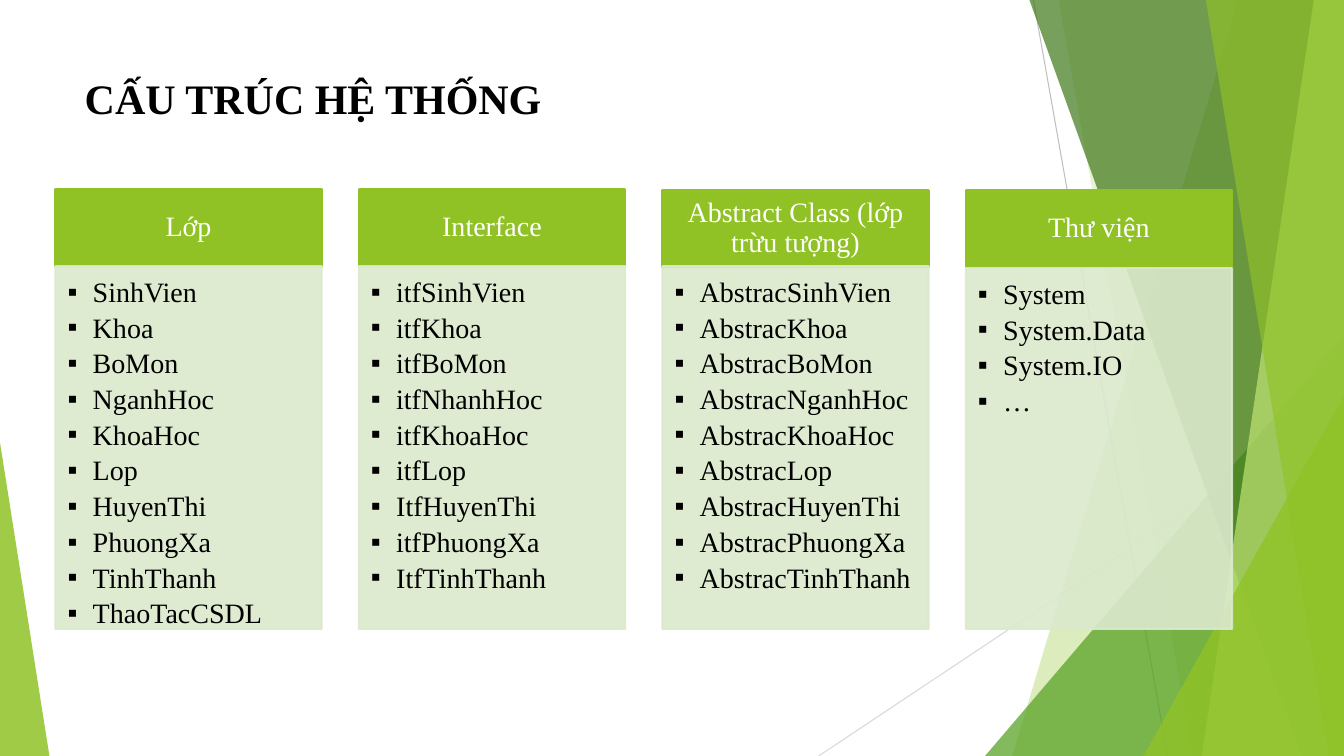
from lxml import etree
from pptx import Presentation, util as u
from pptx.dml.color import RGBColor
from pptx.enum import shapes, text
from pptx.oxml import ns

COLORS = {
    "black": "000000",
    "white": "FFFFFF",
    "lime": "90C226",
    "pale_lime": "C0E474",
    "green": "54A021",
    "dark_green": "3F7819",
    "panel": "DBE9CD",
    "gray": "BFBFBF",
    "light_gray": "D9D9D9",
}
WIDTH, HEIGHT = 1333, 750

BANDS = [
    ([(1228, 0), (WIDTH, 0), (WIDTH, HEIGHT), (1004, HEIGHT)], "lime", 30),
    ([(1050, 0), (WIDTH, 0), (WIDTH, HEIGHT), (1183, HEIGHT)], "lime", 20),
    ((977, 333, 356, 417), "green", 72),
    ([(1021, 0), (WIDTH, 0), (WIDTH, HEIGHT), (1291, HEIGHT)], "dark_green", 70),
    ([(1303, 0), (WIDTH, 0), (WIDTH, HEIGHT), (1192, HEIGHT)], "pale_lime", 70),
    ([(1196, 0), (WIDTH, 0), (WIDTH, HEIGHT), (1318, HEIGHT)], "lime", 65),
    ((1134, 393, 199, 357), "lime", 80),
    ((0, 439, 49, 311), "lime", 85),
]

COLUMNS = [
    ("Lớp", 188, 264, [
        "SinhVien", "Khoa", "BoMon", "NganhHoc", "KhoaHoc", "Lop",
        "HuyenThi", "PhuongXa", "TinhThanh", "ThaoTacCSDL"]),
    ("Interface", 188, 264, [
        "itfSinhVien", "itfKhoa", "itfBoMon", "itfNhanhHoc", "itfKhoaHoc",
        "itfLop", "ItfHuyenThi", "itfPhuongXa", "ItfTinhThanh"]),
    ("Abstract Class (lớp trừu tượng)", 189, 264, [
        "AbstracSinhVien", "AbstracKhoa", "AbstracBoMon", "AbstracNganhHoc",
        "AbstracKhoaHoc", "AbstracLop", "AbstracHuyenThi",
        "AbstracPhuongXa", "AbstracTinhThanh"]),
    ("Thư viện", 189, 266, ["System", "System.Data", "System.IO", "…"]),
]
COLUMN_LEFT, COLUMN_PITCH, COLUMN_WIDTH = 55, 301, 264
HEADER_HEIGHT, BODY_BOTTOM = 76, 624


class SlideBuilder:
    font_name = "Times New Roman"
    scale = 9144

    def __init__(self, presentation):
        presentation.slide_width = self.px(WIDTH)
        presentation.slide_height = self.px(HEIGHT)
        self.slide = presentation.slides.add_slide(presentation.slide_layouts[5])

    def px(self, length):
        return u.Emu(length * self.scale)

    def paint(self, color_format, color, opacity=100):
        color_format.rgb = RGBColor.from_string(COLORS[color])
        if opacity < 100:
            value = color_format._xFill.find(ns.qn("a:srgbClr"))
            etree.SubElement(value, ns.qn("a:alpha"), val=str(opacity * 1000))

    def fill(self, shape, color, opacity):
        shape.shadow.inherit = False
        shape.fill.solid()
        self.paint(shape.fill.fore_color, color, opacity)

    def style(self, paragraph, size, color, bold=False):
        paragraph.font.name = self.font_name
        paragraph.font.size = u.Pt(size)
        paragraph.font.bold = bold
        self.paint(paragraph.font.color, color)

    def title(self, wording, left, top, width, height):
        shape = self.slide.shapes.title
        shape.left, shape.top = self.px(left), self.px(top)
        shape.width, shape.height = self.px(width), self.px(height)
        shape.text_frame.text = wording
        shape.text_frame.vertical_anchor = text.MSO_ANCHOR.TOP
        paragraph = shape.text_frame.paragraphs[0]
        paragraph.alignment = text.PP_ALIGN.LEFT
        self.style(paragraph, 30, "black", bold=True)

    def line(self, start, end, color):
        connector = self.slide.shapes.add_connector(
            shapes.MSO_CONNECTOR.STRAIGHT, *map(self.px, (*start, *end)))
        connector.line.width = u.Pt(0.75)
        self.paint(connector.line.color, color)
        etree.SubElement(connector._element.spPr, ns.qn("a:effectLst"))

    def polygon(self, points, color, opacity):
        builder = self.slide.shapes.build_freeform(*points[0], scale=self.scale)
        builder.add_line_segments(points[1:], close=True)
        shape = builder.convert_to_shape()
        self.fill(shape, color, opacity)
        shape.line.fill.background()

    def triangle(self, box, apex, color, opacity):
        shape = self.slide.shapes.add_shape(
            shapes.MSO_SHAPE.ISOSCELES_TRIANGLE, *map(self.px, box))
        shape.adjustments[0] = apex
        self.fill(shape, color, opacity)
        shape.line.fill.background()

    def panel(self, box, color, opacity, margins, anchor):
        shape = self.slide.shapes.add_shape(
            shapes.MSO_SHAPE.RECTANGLE, *map(self.px, box))
        self.fill(shape, color, opacity)
        shape.line.width = u.Pt(1.5)
        shape.line.fill.solid()
        self.paint(shape.line.fill.fore_color, color, opacity)
        frame = shape.text_frame
        frame.word_wrap = True
        frame.vertical_anchor = anchor
        (frame.margin_left, frame.margin_top,
         frame.margin_right, frame.margin_bottom) = map(self.px, margins)
        return frame

    def header(self, wording, box):
        frame = self.panel(box, "lime", 100, (16, 9, 16, 9), text.MSO_ANCHOR.MIDDLE)
        frame.text = wording
        paragraph = frame.paragraphs[0]
        paragraph.alignment = text.PP_ALIGN.CENTER
        paragraph.line_spacing = 0.9
        self.style(paragraph, 20, "white")

    def bullet_list(self, items, box):
        frame = self.panel(box, "panel", 90, (12, 12, 16, 17), text.MSO_ANCHOR.TOP)
        frame.text = "\n".join(items)
        for paragraph in frame.paragraphs:
            paragraph.alignment = text.PP_ALIGN.LEFT
            paragraph.line_spacing = 0.9
            paragraph.space_after = u.Pt(3.9)
            properties = paragraph._p.get_or_add_pPr()
            properties.set("marL", str(self.px(25)))
            properties.set("indent", str(self.px(-25)))
            etree.SubElement(properties, ns.qn("a:buFont"), typeface=self.font_name)
            etree.SubElement(properties, ns.qn("a:buChar"), char="▪")
            self.style(paragraph, 20, "black")


def main():
    presentation = Presentation()
    builder = SlideBuilder(presentation)
    builder.line((1025, 0), (1158, HEIGHT), "gray")
    builder.line((WIDTH, 403), (812, HEIGHT), "light_gray")
    for outline, color, opacity in BANDS:
        if isinstance(outline, list):
            builder.polygon(outline, color, opacity)
        else:
            builder.triangle(outline, 1 if outline[0] else 0, color, opacity)
    builder.title("CẤU TRÚC HỆ THỐNG", 74, 67, 1097, 123)
    for index, (heading, header_top, body_top, items) in enumerate(COLUMNS):
        left = COLUMN_LEFT + index * COLUMN_PITCH
        builder.header(heading, (left, header_top, COLUMN_WIDTH, HEADER_HEIGHT))
        builder.bullet_list(
            items, (left, body_top, COLUMN_WIDTH, BODY_BOTTOM - body_top))
    presentation.save("out.pptx")


if __name__ == "__main__":
    main()
